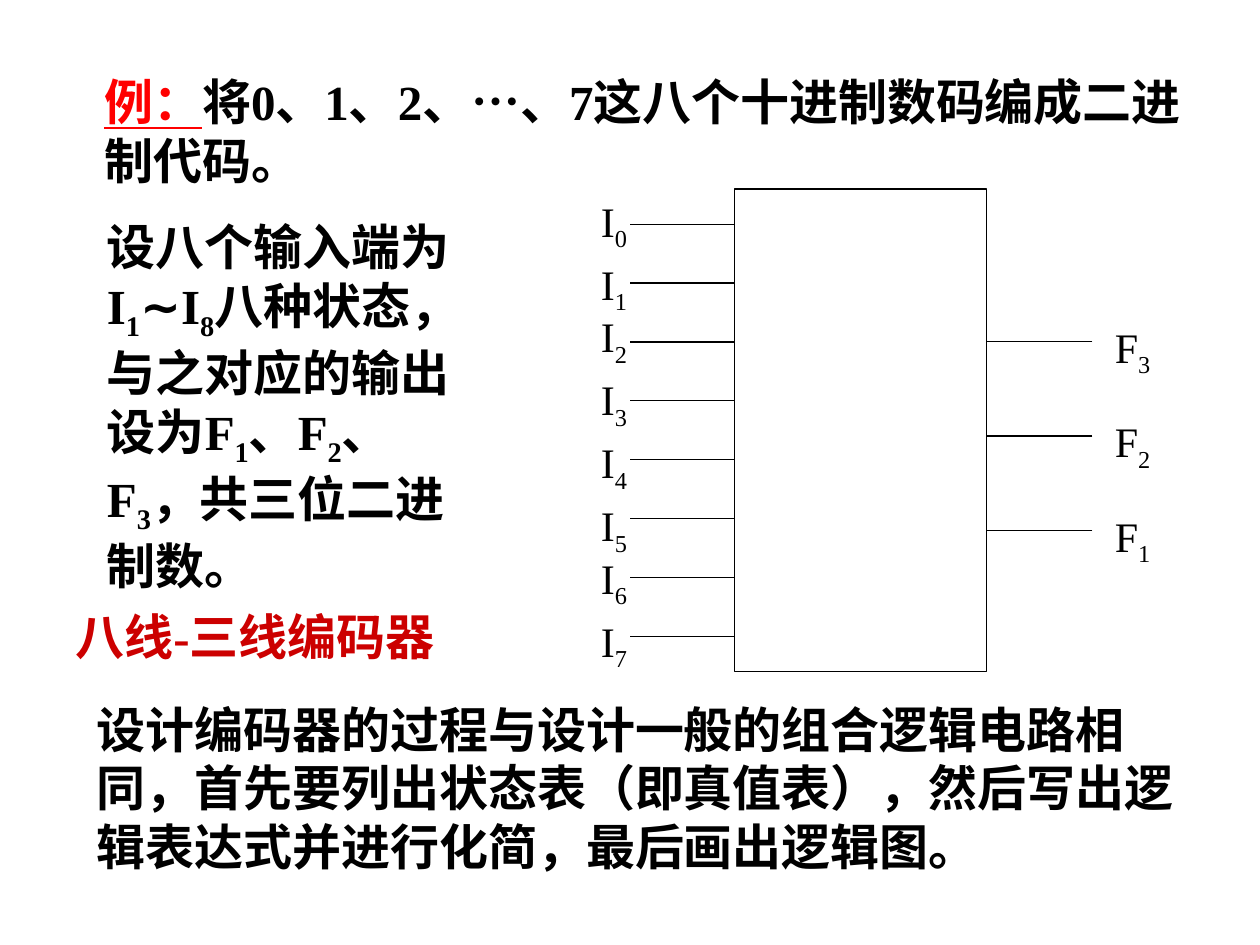
from lxml import etree
from pptx import Presentation
from pptx import util as u
from pptx.dml.color import RGBColor
from pptx.enum import lang, shapes, text
from pptx.oxml.ns import qn

BLACK, RED, DARK_RED = "000000", "FF0000", "CC0000"
SERIF = "Times New Roman"
BODY = {"size": u.Pt(28), "bold": True, "name": SERIF}
LABEL = {"size": u.Pt(24), "bold": False, "name": SERIF}


def color(value):
    """Turn a hex string into a colour."""
    return RGBColor.from_string(value)


def add_span(para, words, style, ink=BLACK, lowered=False):
    """Add one formatted run, as a subscript if lowered."""
    span = para.add_run()
    span.text = words
    for name, value in style.items():
        setattr(span.font, name, value)
    span.font.color.rgb = color(ink)
    span.font.language_id = lang.MSO_LANGUAGE_ID.SIMPLIFIED_CHINESE
    if lowered:
        span.font._element.set("baseline", "-25000")


def add_box(page, area, spans, anchor=text.MSO_ANCHOR.TOP):
    """Place a wrapping text box without hanging punctuation."""
    box = page.shapes.add_textbox(*map(u.Inches, area))
    frame = box.text_frame
    frame.word_wrap = True
    frame.vertical_anchor = anchor
    para = frame.paragraphs[0]
    para._p.get_or_add_pPr().set("hangingPunct", "0")
    for span in spans:
        add_span(para, *span)


def add_wire(page, start, end, height):
    """Draw a horizontal wire."""
    wire = page.shapes.add_connector(
        shapes.MSO_CONNECTOR.STRAIGHT,
        *map(u.Inches, (start, height, end, height)))
    wire.line.color.rgb = color(BLACK)
    wire.line.width = u.Pt(0.75)
    etree.SubElement(wire._element.spPr, qn("a:effectLst"))


def add_label(page, left, top, letter, index):
    """Write a terminal name with its subscript."""
    add_box(page, (left, top, 0.5, 0.56),
            [(letter, LABEL), (str(index), LABEL, BLACK, True)])


def add_encoder(page, left, top, width, height):
    """Draw the encoder block with eight inputs and three outputs."""
    block = page.shapes.add_shape(
        shapes.MSO_SHAPE.RECTANGLE, *map(u.Inches, (left, top, width, height)))
    block.shadow.inherit = False
    block.fill.background()
    block.line.color.rgb = color(BLACK)
    block.line.width = u.Pt(0.75)
    right = left + width
    for index in range(8):
        add_wire(page, left, left - 0.83, top + 0.28 + index * 3.27 / 7)
        label_top = top + round(index * 40 / 7) / 12
        add_label(page, left - 1.16, label_top, "I", index)
    for row in range(3):
        add_wire(page, right + 0.84, right, top + 1.21 + row * 0.75)
        add_label(page, right + 0.92, top + 1 + row * 0.75, "F", 3 - row)


def add_example(page, area):
    """Write the example statement with its underlined heading."""
    add_box(page, area, [
        ("例：", {**BODY, "underline": True}, RED),
        ("将0、1、2、…、7这八个十进制数码编成二进制代码。", BODY)])


def add_definition(page, area):
    """Describe the inputs and outputs, with subscripted names."""
    parts = [("设八个输入端为I", "1"), ("∼", ""), ("I", "8"),
             ("八种状态，与之对应的输出设为F", "1"),
             ("、F", "2"), ("、F", "3"), ("，共三位二进制数。", "")]
    spans = []
    for words, index in parts:
        font = "Arial" if words == "∼" else SERIF
        spans.append((words, {**BODY, "name": font}))
        if index:
            spans.append((index, BODY, BLACK, True))
    add_box(page, area, spans)


def main():
    """Build the slide and save the deck."""
    deck = Presentation()
    deck.slide_width, deck.slide_height = u.Inches(10), u.Inches(7.5)
    page = deck.slides.add_slide(deck.slide_layouts[6])
    add_example(page, (0.73, 0.52, 8.86, 1.04))
    add_box(page, (0.5, 4.76, 3.25, 0.57),
            [("八线-三线编码器", BODY, DARK_RED)], text.MSO_ANCHOR.MIDDLE)
    add_definition(page, (0.75, 1.67, 3.08, 3.1))
    add_box(page, (0.67, 5.5, 8.92, 1.5), [(
        "设计编码器的过程与设计一般的组合逻辑电路相同，"
        "首先要列出状态表（即真值表），"
        "然后写出逻辑表达式并进行化简，最后画出逻辑图。", BODY)])
    add_encoder(page, 5.83, 1.5, 2, 3.83)
    deck.save("out.pptx")


if __name__ == "__main__":
    main()
